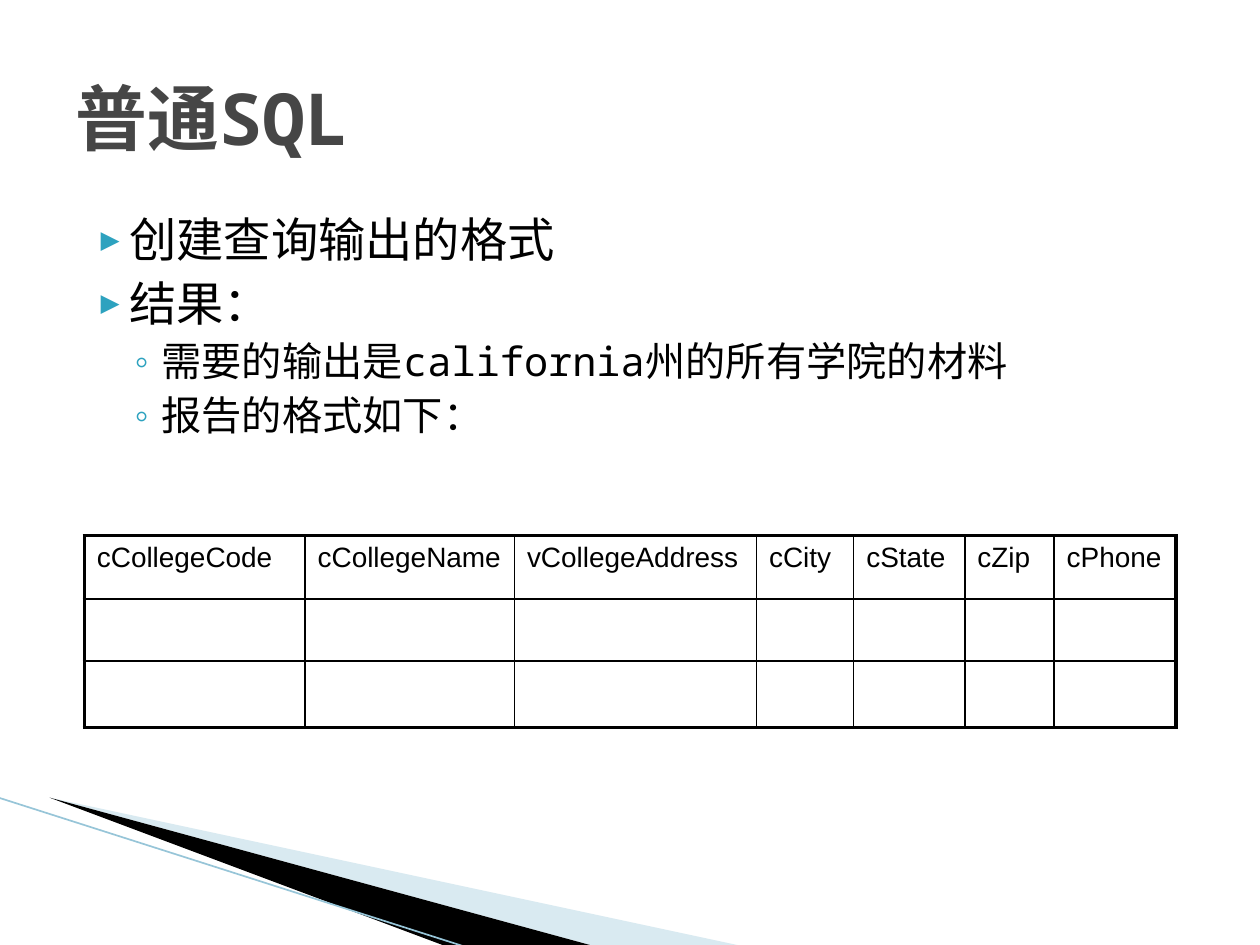
import pptx
import pptx.dml.color
import pptx.enum.dml
import pptx.enum.shapes
import pptx.enum.text
import pptx.oxml
import pptx.oxml.ns
import pptx.util
from lxml import etree

Cm = pptx.util.Cm
Pt = pptx.util.Pt
RGBColor = pptx.dml.color.RGBColor
qn = pptx.oxml.ns.qn

BLACK = RGBColor(0x00, 0x00, 0x00)
TITLE_GRAY = RGBColor(0x46, 0x46, 0x46)
BULLET_TEAL = RGBColor(0x2D, 0xA2, 0xBF)
WEDGE_BLUE = RGBColor(0xA0, 0xCB, 0xDC)
EDGE_BLUE = RGBColor(0x97, 0xC5, 0xD8)
TEXT_FONT = "Noto Sans Mono"
TABLE_FONT = "Arial"

# Per level: bullet, bullet size %, left margin, hanging indent, space before, text size
LEVELS = [
    ("▶", 68, Cm(1.02), Cm(-0.71), Pt(4), Pt(27)),
    ("◦", 100, Cm(1.73), Cm(-0.64), Pt(3.2), Pt(23)),
]
BODY_ITEMS = [
    (0, "创建查询输出的格式"),
    (0, "结果："),
    (1, "需要的输出是california州的所有学院的材料"),
    (1, "报告的格式如下："),
]
COLUMNS = [
    ("cCollegeCode", 4.45),
    ("cCollegeName", 4.22),
    ("vCollegeAddress", 4.88),
    ("cCity", 1.96),
    ("cState", 2.24),
    ("cZip", 1.8),
    ("cPhone", 2.46),
]
ROW_HEIGHTS = [1.28, 1.24, 1.35]
THIN, THICK = Pt(1), Pt(2.25)


def place(shape, box):
    shape.left, shape.top, shape.width, shape.height = box


def add_run(paragraph, text, size, color, font=TEXT_FONT, bold=False):
    run = paragraph.add_run()
    run.text = text
    run.font.size = size
    run.font.bold = bold
    run.font.name = font
    run.font.color.rgb = color
    latin = run.font._element.find(qn("a:latin"))
    east_asian = etree.Element(qn("a:ea"), typeface=font)
    latin.addnext(east_asian)


def add_wedge(slide, box, points, color, opacity=100):
    """Add a filled outline whose points are centimetres from the box corner."""
    left, top = box[:2]
    builder = slide.shapes.build_freeform(*points[0], scale=Cm(1))
    builder.add_line_segments(points[1:])
    wedge = builder.convert_to_shape(left, top)
    wedge.shadow.inherit = False
    wedge.fill.solid()
    wedge.fill.fore_color.rgb = color
    wedge.line.fill.background()
    if opacity < 100:
        color_element = wedge.element.spPr.find(qn("a:solidFill"))[0]
        etree.SubElement(color_element, qn("a:alpha"), val=str(opacity * 1000))


def add_corner_decoration(slide, box):
    left, top, width, height = box
    add_wedge(slide, box, [(1.4, 0.46), (15.11, 3), (11.58, 3), (1.4, 0.43)],
              WEDGE_BLUE, opacity=40)
    add_wedge(slide, box, [(1.35, 0.4), (11.61, 3), (9.45, 3.02), (1.37, 0.43)], BLACK)
    edge = slide.shapes.add_connector(
        pptx.enum.shapes.MSO_CONNECTOR.STRAIGHT,
        left - Cm(0.03), top, left + Cm(9.42), top + height)
    edge.line.color.rgb = EDGE_BLUE
    edge.line.width = Pt(0.95)
    etree.SubElement(edge.element.spPr, qn("a:effectLst"))


def fill_title(title, box):
    place(title, box)
    frame = title.text_frame
    frame.auto_size = pptx.enum.text.MSO_AUTO_SIZE.NONE
    frame.vertical_anchor = pptx.enum.text.MSO_ANCHOR.MIDDLE
    paragraph = frame.paragraphs[0]
    paragraph.alignment = pptx.enum.text.PP_ALIGN.LEFT
    add_run(paragraph, "普通SQL", Pt(41), TITLE_GRAY, bold=True)


def set_bullet(paragraph, character, percent, margin, indent):
    properties = paragraph._p.get_or_add_pPr()
    properties.set("marL", str(margin))
    properties.set("indent", str(indent))
    bullet_color = etree.SubElement(properties, qn("a:buClr"))
    etree.SubElement(bullet_color, qn("a:srgbClr"), val=str(BULLET_TEAL))
    etree.SubElement(properties, qn("a:buSzPct"), val=str(percent * 1000))
    etree.SubElement(properties, qn("a:buFont"), typeface=TEXT_FONT)
    etree.SubElement(properties, qn("a:buChar"), char=character)


def fill_body(body, box):
    place(body, box)
    frame = body.text_frame
    frame.auto_size = pptx.enum.text.MSO_AUTO_SIZE.NONE
    for index, (level, text) in enumerate(BODY_ITEMS):
        character, percent, margin, indent, space, size = LEVELS[level]
        paragraph = frame.add_paragraph() if index else frame.paragraphs[0]
        paragraph.level = level
        set_bullet(paragraph, character, percent, margin, indent)
        paragraph.space_before = space if index else Pt(0)
        add_run(paragraph, text, size, BLACK)


def set_border(cell, side, width):
    properties = cell._tc.get_or_add_tcPr()
    line = etree.SubElement(properties, qn(f"a:ln{side}"), w=str(width))
    fill = etree.SubElement(line, qn("a:solidFill"))
    etree.SubElement(fill, qn("a:srgbClr"), val=str(BLACK))


def add_college_table(slide, box):
    """Add the report table: thick outer frame, thin inner lines."""
    table = slide.shapes.add_table(len(ROW_HEIGHTS), len(COLUMNS), *box).table
    table.first_row = table.horz_banding = False
    for column, (heading, width) in zip(table.columns, COLUMNS):
        column.width = Cm(width)
    for row, height in zip(table.rows, ROW_HEIGHTS):
        row.height = Cm(height)
    last_row, last_column = len(ROW_HEIGHTS) - 1, len(COLUMNS) - 1
    for row_index, row in enumerate(table.rows):
        for column_index, cell in enumerate(row.cells):
            outer_sides = {"L": column_index == 0, "R": column_index == last_column,
                           "T": row_index == 0, "B": row_index == last_row}
            for side, is_outer in outer_sides.items():
                set_border(cell, side, THICK if is_outer else THIN)
            cell.fill.background()
            if row_index == 0:
                add_run(cell.text_frame.paragraphs[0], COLUMNS[column_index][0],
                        Pt(16), BLACK, font=TABLE_FONT)


def build_slide(presentation):
    slide = presentation.slides.add_slide(presentation.slide_layouts[1])
    title, body = slide.shapes.title, slide.placeholders[1]
    add_corner_decoration(slide, (Cm(0), Cm(16.08), Cm(15.11), Cm(3.02)))
    for placeholder in (body, title):  # bring the text in front of the decoration
        slide.shapes.element.append(placeholder.element)
    fill_body(body, (Cm(1.27), Cm(4.11), Cm(22.86), Cm(12.57)))
    fill_title(title, (Cm(1.27), Cm(0.76), Cm(22.86), Cm(3.18)))
    add_college_table(slide, (Cm(1.7), Cm(10.8), Cm(22.01), Cm(3.87)))


def main():
    presentation = pptx.Presentation()
    presentation.slide_width = Cm(25.4)
    presentation.slide_height = Cm(19.05)
    build_slide(presentation)
    presentation.save("out.pptx")


if __name__ == "__main__":
    main()
